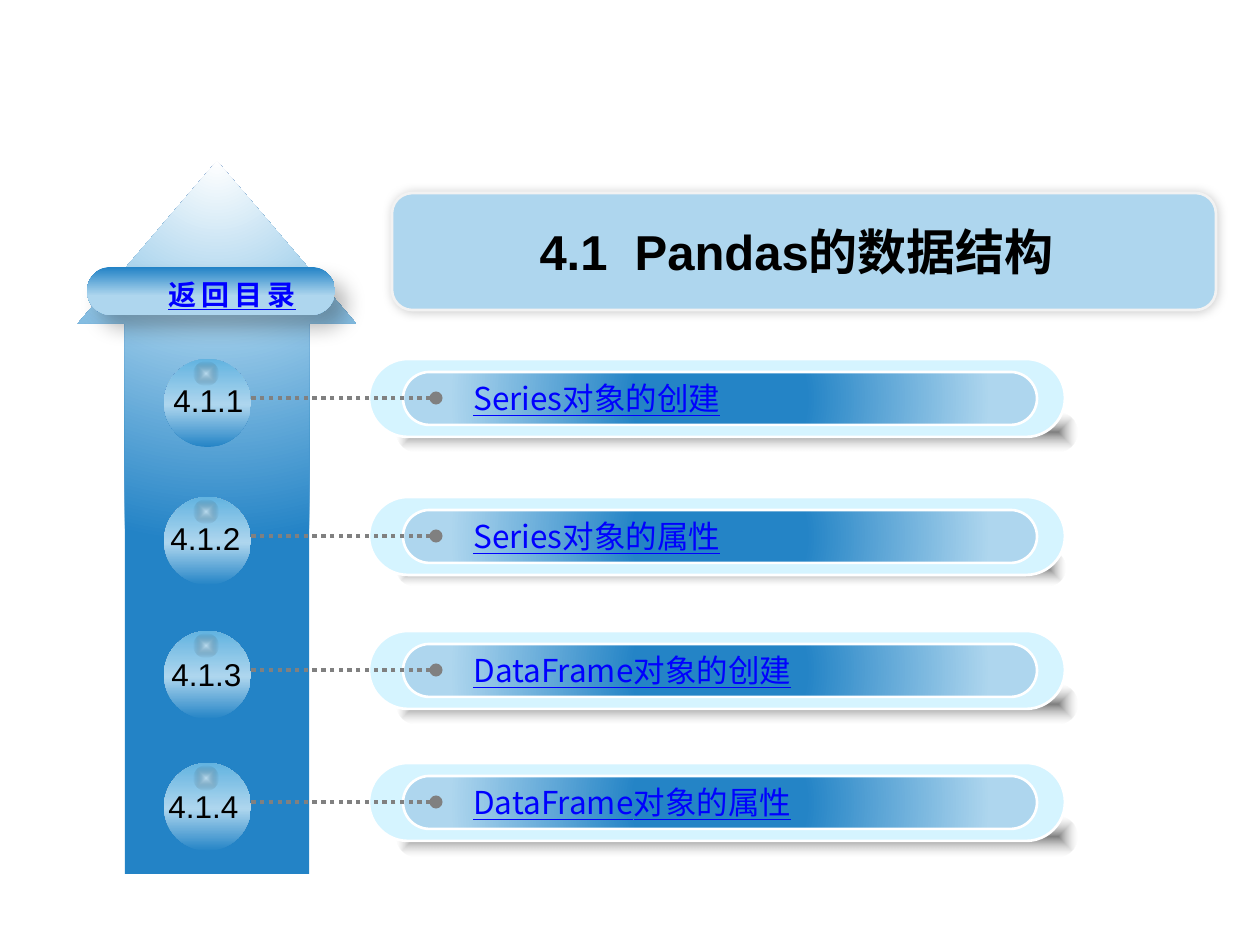
from pptx import Presentation
from pptx.dml.color import RGBColor
from pptx.enum.dml import MSO_LINE
from pptx.enum.shapes import MSO_CONNECTOR, MSO_SHAPE
from pptx.enum.text import MSO_ANCHOR, MSO_AUTO_SIZE, PP_ALIGN
from pptx.oxml import parse_xml
from pptx.oxml.ns import nsdecls, qn
from pptx.util import Emu, Pt

PX = 914400 / 126
COLORS = {
    "white": "FFFFFF", "black": "000000", "edge": "F2F2F2", "pale": "AED6EE",
    "deep": "2383C6", "blue": "2484C6", "sky": "62B3E0", "ice": "D5F4FF",
    "gray": "808080", "silver": "B0B0B0", "link": "0000FF",
}
LATIN, CJK = "Arial", "Noto Sans CJK SC"
CENTER = (50, 50, 50, 50)
ROWS = [
    (359, "4.1.1", 161, 375, "Series对象的创建", 345, (680, 39)),
    (497, "4.1.2", 158, 513, "Series对象的属性", 552, (668, 35)),
    (631, "4.1.3", 159, 649, "DataFrame对象的创建", 457, (680, 39)),
    (763, "4.1.4", 156, 781, "DataFrame对象的属性", 451, (680, 39)),
]


def px(*lengths):
    """Turn pixel lengths into EMU."""
    return [Emu(round(length * PX)) for length in lengths]


def color(name):
    """Look up a palette colour."""
    return RGBColor.from_string(COLORS[name])


def gradient(shape, stops, focus=None, kind="circle", angle=90):
    """Fill a shape with a gradient that is linear unless it has a focus."""
    marks = "".join(
        f'<a:gs pos="{pos * 1000}"><a:srgbClr val="{COLORS[name]}">'
        f'<a:alpha val="{alpha * 1000}"/></a:srgbClr></a:gs>'
        for pos, name, alpha in stops)
    if focus:
        sides = " ".join(f'{side}="{value * 1000}"' for side, value in zip("ltrb", focus))
        course = f'<a:path path="{kind}"><a:fillToRect {sides}/></a:path>'
    else:
        course = f'<a:lin ang="{angle * 60000}" scaled="0"/>'
    shape.fill.solid()
    properties = shape._element.spPr
    properties.replace(properties.find(qn("a:solidFill")), parse_xml(
        f'<a:gradFill {nsdecls("a")} rotWithShape="1"><a:gsLst>{marks}</a:gsLst>'
        f'{course}</a:gradFill>'))


def add_shadow(shape, alpha, blur, distance, angle):
    """Give a shape a soft black outer shadow."""
    effects = shape._element.spPr.find(qn("a:effectLst"))
    effects.append(parse_xml(
        f'<a:outerShdw {nsdecls("a")} blurRad="{Pt(blur)}" dist="{Pt(distance)}" '
        f'dir="{angle * 60000}" algn="ctr" rotWithShape="0">'
        f'<a:srgbClr val="{COLORS["black"]}"><a:alpha val="{alpha * 1000}"/></a:srgbClr>'
        '</a:outerShdw>'))


def add_preset(shapes, preset, box, fill=None, line=None, adjust=()):
    """Add a preset shape with an optional plain fill and outline."""
    shape = shapes.add_shape(preset, *px(*box))
    shape.shadow.inherit = False
    for index, value in enumerate(adjust):
        shape.adjustments[index] = value
    if fill:
        shape.fill.solid()
        shape.fill.fore_color.rgb = color(fill)
    if line:
        shape.line.color.rgb = color(line)
        shape.line.width = Pt(1.5)
    else:
        shape.line.fill.background()
    return shape


def write(shape, text, size, face, ink, align=None, bold=False, underline=False, wrap=True):
    """Write one run of text and return it."""
    frame = shape.text_frame
    frame.word_wrap = wrap
    frame.auto_size = MSO_AUTO_SIZE.SHAPE_TO_FIT_TEXT
    frame.vertical_anchor = MSO_ANCHOR.TOP
    para = frame.paragraphs[0]
    para.alignment = align
    span = para.add_run()
    span.text = text
    font = span.font
    font.size, font.name, font.bold, font.underline = Pt(size), face, bold, underline
    font.color.rgb = color(ink)
    span._r.get_or_add_rPr().find(qn("a:latin")).addnext(
        parse_xml(f'<a:ea {nsdecls("a")} typeface="{CJK}"/>'))
    return span


def add_title(page, left, top, width, height):
    """Place the title on its rounded card."""
    card = add_preset(page.shapes, MSO_SHAPE.ROUNDED_RECTANGLE,
                      (left, top, width, height), "pale", "edge", [0.174])
    add_shadow(card, 20, 6, 0, 225)
    title = page.shapes.title
    title.left, title.top, title.width, title.height = px(left, top + 22, 809, 72)
    write(title, "4.1  Pandas的数据结构", 28, LATIN, "black", PP_ALIGN.CENTER, bold=True)
    card._element.addnext(title._element)


def add_arrow(page, left, top, width, height):
    """Draw the tall arrow with the contents button across its head."""
    arrow = add_preset(page.shapes, MSO_SHAPE.UP_ARROW, (left, top, width, height),
                       adjust=[0.663, 0.584])
    gradient(arrow, [(0, "white", 100), (35, "pale", 100), (100, "deep", 100)],
             (50, -80, 50, 180))
    button = add_preset(page.shapes, MSO_SHAPE.ROUNDED_RECTANGLE,
                        (left + 9, top + 106, 248, 48), adjust=[0.5])
    gradient(button, [(1, "deep", 100), (60, "pale", 100)])
    add_shadow(button, 28, 11.8, 10, 48)
    label = page.shapes.add_textbox(*px(left + 74, top + 110, 160, 47))
    span = write(label, "返回目录", 16, CJK, "link", PP_ALIGN.CENTER,
                 bold=True, underline=True, wrap=False)
    span._r.get_or_add_rPr().set("spc", "300")


def add_pointer(shapes, start, end, y):
    """Draw a dotted line that starts with a round dot."""
    pointer = shapes.add_connector(MSO_CONNECTOR.STRAIGHT, *px(start, y, end, y))
    pointer.line.color.rgb = color("gray")
    pointer.line.width = Pt(2.5)
    pointer.line.dash_style = MSO_LINE.ROUND_DOT
    pointer.line._get_or_add_ln().append(parse_xml(f'<a:headEnd {nsdecls("a")} type="oval"/>'))
    pointer._element.spPr.append(parse_xml(f'<a:effectLst {nsdecls("a")}/>'))


def add_entry(page, left, top, number, number_left, number_top, text, text_width, shade_size):
    """Draw one numbered entry: ball, pointer, bar and text."""
    shapes = page.shapes.add_group_shape().shapes
    pill = MSO_SHAPE.ROUNDED_RECTANGLE
    shade = add_preset(shapes, pill, (left + 233, top + 54, *shade_size), adjust=[0.5])
    gradient(shade, [(0, "black", 50), (100, "silver", 0)], CENTER, "shape")
    add_preset(shapes, pill, (left + 205, top, 696, 78), "ice", "white", [0.5])
    bar = add_preset(shapes, pill, (left + 239, top + 13, 634, 53), None, "white", [0.5])
    gradient(bar, [(27, "blue", 100), (85, "pale", 100)], CENTER)
    add_pointer(shapes, left + 272, left + 65, top + 39)
    ball = add_preset(shapes, MSO_SHAPE.OVAL, (left, top, 87, 88))
    gradient(ball, [(0, "blue", 100), (48, "pale", 100), (100, "sky", 100)], angle=270)
    gloss = add_preset(shapes, MSO_SHAPE.OVAL, (left + 30, top + 3, 24, 24))
    gradient(gloss, [(0, "white", 50), (100, "black", 0)], CENTER, "shape")
    number_box = page.shapes.add_textbox(*px(number_left, number_top, 110, 50))
    write(number_box, number, 18, LATIN, "black")
    text_box = page.shapes.add_textbox(*px(left + 297, top + 14, text_width, 50))
    write(text_box, text, 18, CJK, "link", underline=True)


def main():
    """Build the section page and save the deck."""
    deck = Presentation()
    deck.slide_width, deck.slide_height = px(1260, 945)
    page = deck.slides.add_slide(deck.slide_layouts[5])
    add_arrow(page, 78, 161, 278, 713)
    add_title(page, 392, 193, 824, 117)
    for row in ROWS:
        add_entry(page, 164, *row)
    deck.save("out.pptx")


if __name__ == "__main__":
    main()
